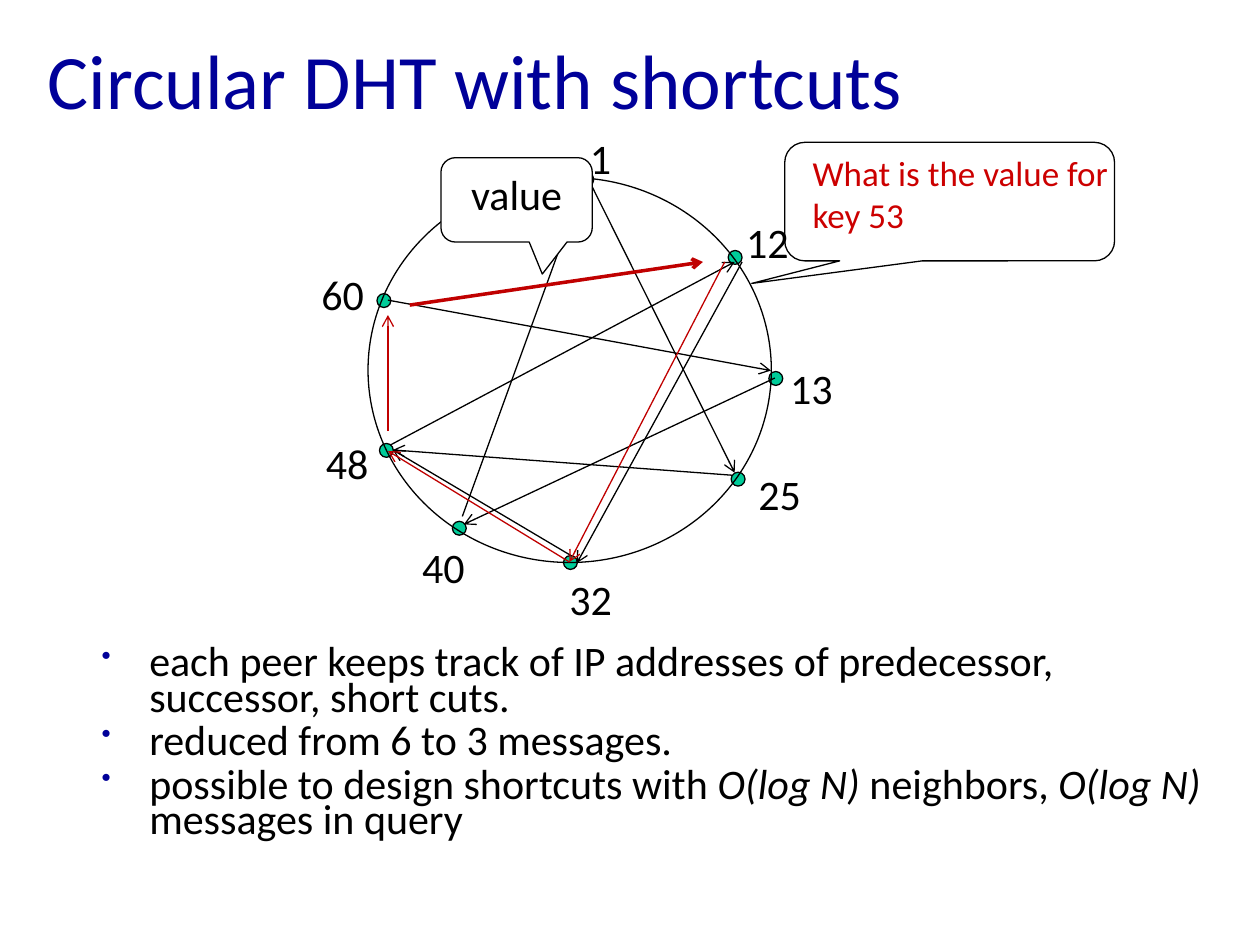
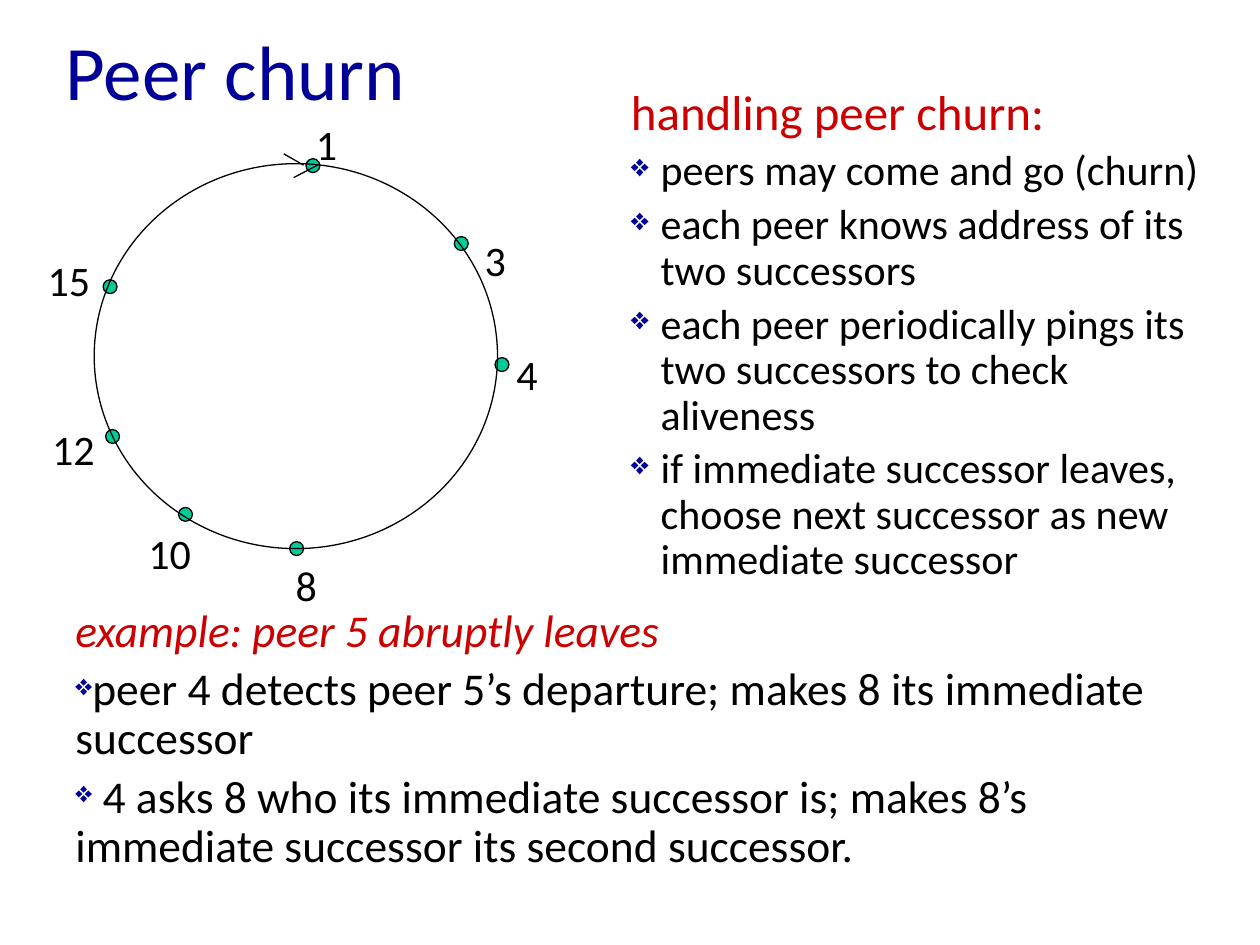
from lxml.etree import SubElement as Sub
from pptx import Presentation
from pptx.dml.color import RGBColor as Rgb
from pptx.enum.shapes import MSO_CONNECTOR as Link, MSO_SHAPE as Kind
from pptx.enum.text import MSO_ANCHOR as Anchor, PP_ALIGN as Align
from pptx.oxml.ns import qn
from pptx.util import Cm, Pt

FONT = "Calibri"
HUES = {
    "navy": "000099",
    "black": "000000",
    "white": "FFFFFF",
    "green": "00CC99",
    "red": "CC0000",
    "dark": "C00000",
}
SPOTS = {
    "south": ((3.94, 7.62), (3.81, 7.85)),
    "upwest": ((0.18, 2.34), (-1.19, 1.7)),
    "west": ((0.23, 5.36), (-1.1, 5.11)),
    "upeast": ((7.26, 1.47), (7.37, 0.66)),
    "east": ((8.08, 3.91), (8.26, 3.61)),
    "loeast": ((7.32, 5.94), (7.62, 5.74)),
    "lowest": ((1.7, 6.93), (0.84, 7.21)),
    "north": ((4.27, -0.1), (4.22, -1.04)),
}


def hue(name):
    return Rgb.from_string(HUES[name])


def put(frame, text, size=24, color="black", italic=False, bullet=None,
        scale=65, indent=0, lead=None, align=Align.LEFT):
    para = frame.paragraphs[0]
    first = not para.runs
    if not first:
        para = frame.add_paragraph()
    if bullet:
        props = para._p.get_or_add_pPr()
        props.set("marL", str(Cm(indent)))
        props.set("indent", str(-Cm(indent)))
        tint = Sub(props, qn("a:buClr"))
        Sub(tint, qn("a:srgbClr"), val=HUES["navy"])
        Sub(props, qn("a:buSzPct"), val=str(scale * 1000))
        Sub(props, qn("a:buChar"), char=bullet)
    para.alignment = align
    if lead:
        para.line_spacing = lead
    if not first:
        para.space_before = Pt(round(size * 0.2, 1))
    for turn, part in enumerate(text.split("*")):
        run = para.add_run()
        run.text = part
        run.font.name = FONT
        run.font.size = Pt(size)
        run.font.italic = italic or turn % 2 == 1
        run.font.color.rgb = hue(color)


class Deck:
    def __init__(self):
        self.file = Presentation()
        self.file.slide_width = Cm(25.4)
        self.file.slide_height = Cm(19.05)

    def page(self, title, *box):
        self.slide = self.file.slides.add_slide(self.file.slide_layouts[5])
        self.shapes = self.slide.shapes
        head = self.shapes.title
        head.left, head.top, head.width, head.height = map(Cm, box)
        head.text_frame.vertical_anchor = Anchor.MIDDLE
        put(head.text_frame, title, size=44, color="navy")

    def text(self, *box, wrap=True):
        frame = self.shapes.add_textbox(*map(Cm, box)).text_frame
        frame.word_wrap = wrap
        return frame

    def shape(self, kind, *box, fill=None, bends=()):
        form = self.shapes.add_shape(kind, *map(Cm, box))
        form.shadow.inherit = False
        if fill:
            form.fill.solid()
            form.fill.fore_color.rgb = hue(fill)
        else:
            form.fill.background()
        form.line.color.rgb = hue("black")
        form.line.width = Pt(0.75)
        for index, bend in enumerate(bends):
            form.adjustments[index] = bend
        return form

    def line(self, *ends, color="black", width=0.75, arrow=True):
        link = self.shapes.add_connector(Link.STRAIGHT, *map(Cm, ends))
        link.line.color.rgb = hue(color)
        link.line.width = Pt(width)
        if arrow:
            Sub(link.line._get_or_add_ln(), qn("a:tailEnd"), type="arrow")
        Sub(link._element.spPr, qn("a:effectLst"))

    def ring(self, left, top, peers, moved={}):
        for spot in peers:
            x, y = SPOTS[spot][0]
            self.shape(Kind.OVAL, left + x, top + y, 0.28, 0.28, fill="green")
        self.shape(Kind.OVAL, left, top, 8.13, 7.76)
        for spot, name in peers.items():
            x, y = moved.get(spot, SPOTS[spot][1])
            wide = 0.6 + 0.39 * len(name)
            put(self.text(left + x, top + y, wide, 1.27, wrap=False), name)


def draw_cuts(deck):
    deck.page("Circular DHT with shortcuts", 0.71, 0, 22.86, 3.18)
    notes = deck.text(1.8, 12.95, 22.86, 4.65)
    for item in (
        "each peer keeps track of IP addresses of predecessor, successor, short cuts.",
        "reduced from 6 to 3 messages.",
        "possible to design shortcuts with *O(log N) *neighbors, *O(log N) *messages in query",
    ):
        put(notes, item, bullet="•", indent=0.96, lead=0.7)

    deck.ring(7.42, 3.58, {
        "south": "32", "upwest": "60", "west": "48", "upeast": "12",
        "east": "13", "loeast": "25", "lowest": "40", "north": "1",
    })
    for ends in (
        (15.62, 7.62, 9.35, 10.57),
        (14.76, 9.58, 7.92, 9.07),
        (11.51, 11.2, 7.92, 9.07),
        (9.32, 10.41, 11.79, 3.61),
        (7.87, 8.97, 14.81, 5.28),
        (7.82, 6.05, 15.54, 7.47),
        (11.91, 3.71, 14.81, 9.53),
        (14.96, 5.28, 11.63, 11.35),
    ):
        deck.line(*ends)
    deck.line(14.61, 5.28, 11.48, 11.33, color="dark")
    deck.line(11.48, 11.33, 7.82, 9.09, color="dark")

    deck.shape(Kind.ROUNDED_RECTANGULAR_CALLOUT, 15.82, 2.87, 6.65, 2.39,
               bends=(-0.6, 0.69, 0.17))
    query = deck.text(16.13, 3.07, 6.6, 1.68)
    for row in ("What is the value for", "key 53"):
        put(query, row, size=20, color="red", lead=Pt(20))
    reply = deck.shape(Kind.ROUNDED_RECTANGULAR_CALLOUT, 8.89, 3.18, 3.05, 1.7,
                       fill="white", bends=(0.17, 0.88, 0.17)).text_frame
    reply.vertical_anchor = Anchor.TOP
    put(reply, "value", align=Align.CENTER)
    deck.line(8.26, 6.15, 14.17, 5.28, color="dark", width=2)
    deck.line(7.82, 8.69, 7.82, 6.35, color="dark")


def draw_churn(deck):
    deck.page("Peer churn", 1.07, 0, 22.86, 2.82)
    case = deck.text(1.27, 12.14, 22.86, 5.92)
    put(case, "example: peer 5 abruptly leaves", size=26, color="red",
        italic=True, lead=0.9)
    for step in (
        "peer 4 detects peer 5’s departure; makes 8 its immediate successor",
        " 4 asks 8 who its immediate successor is; makes 8’s immediate successor its second successor.",
    ):
        put(case, step, size=26, bullet="❖", lead=0.9)

    deck.ring(1.9, 3.3, {
        "south": "8", "upwest": "15", "west": "12", "upeast": "3",
        "east": "4", "lowest": "10", "north": "1",
    }, moved={"upeast": (7.62, 1.3)})
    deck.line(5.72, 3.1, 6.12, 3.33, arrow=False)
    deck.line(6.4, 3.33, 5.92, 3.58, arrow=False)

    rules = deck.text(12.47, 1.52, 12.29, 11.84)
    put(rules, "handling peer churn:", size=28, color="red")
    for rule in (
        "peers may come and go (churn)",
        "each peer knows address of its two successors",
        "each peer periodically pings its two successors to check aliveness",
        "if immediate successor leaves, choose next successor as new immediate successor",
    ):
        put(rules, rule, bullet="❖", scale=75, indent=0.6, lead=Pt(26))


def main():
    deck = Deck()
    draw_cuts(deck)
    draw_churn(deck)
    deck.file.save("out.pptx")


if __name__ == "__main__":
    main()
